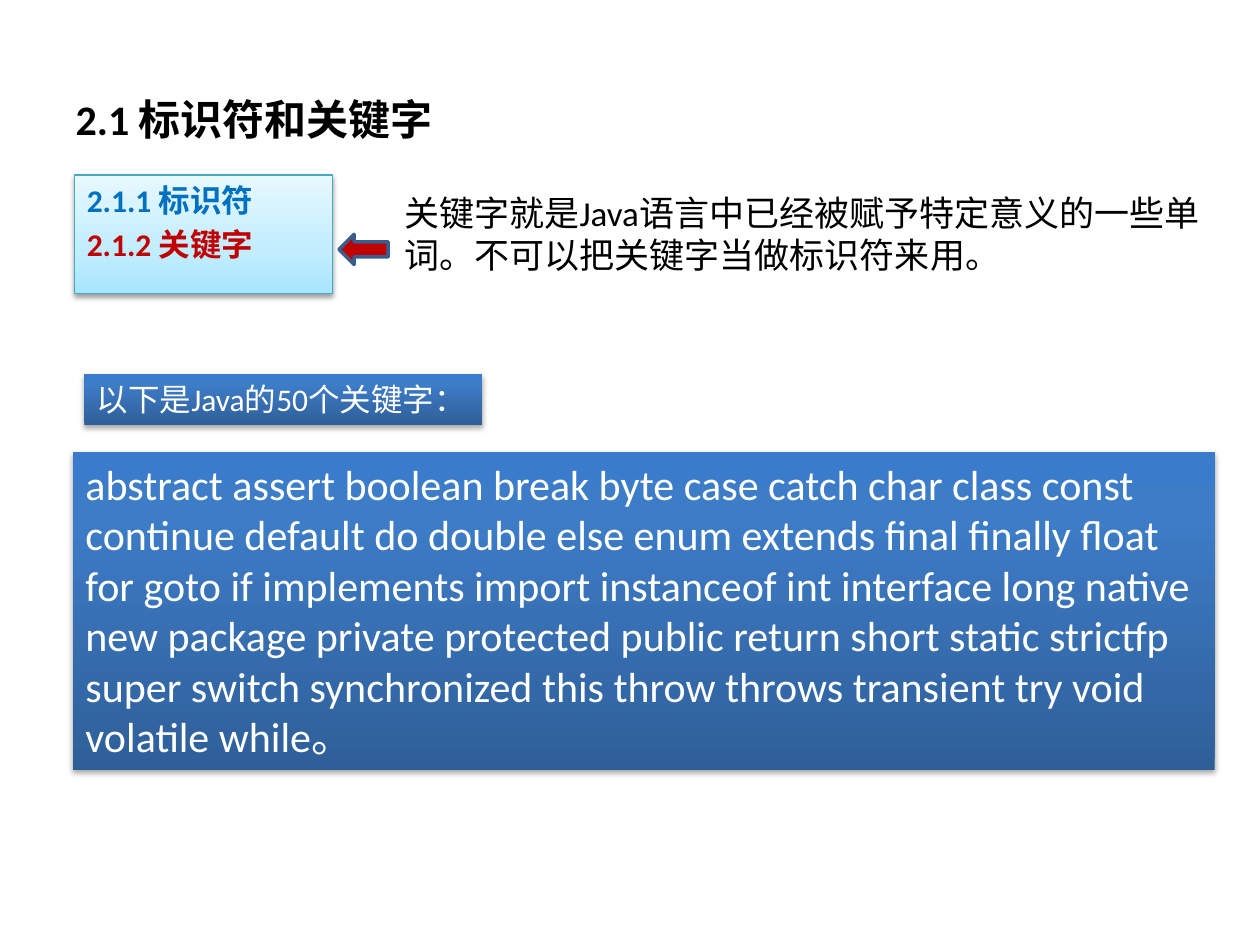
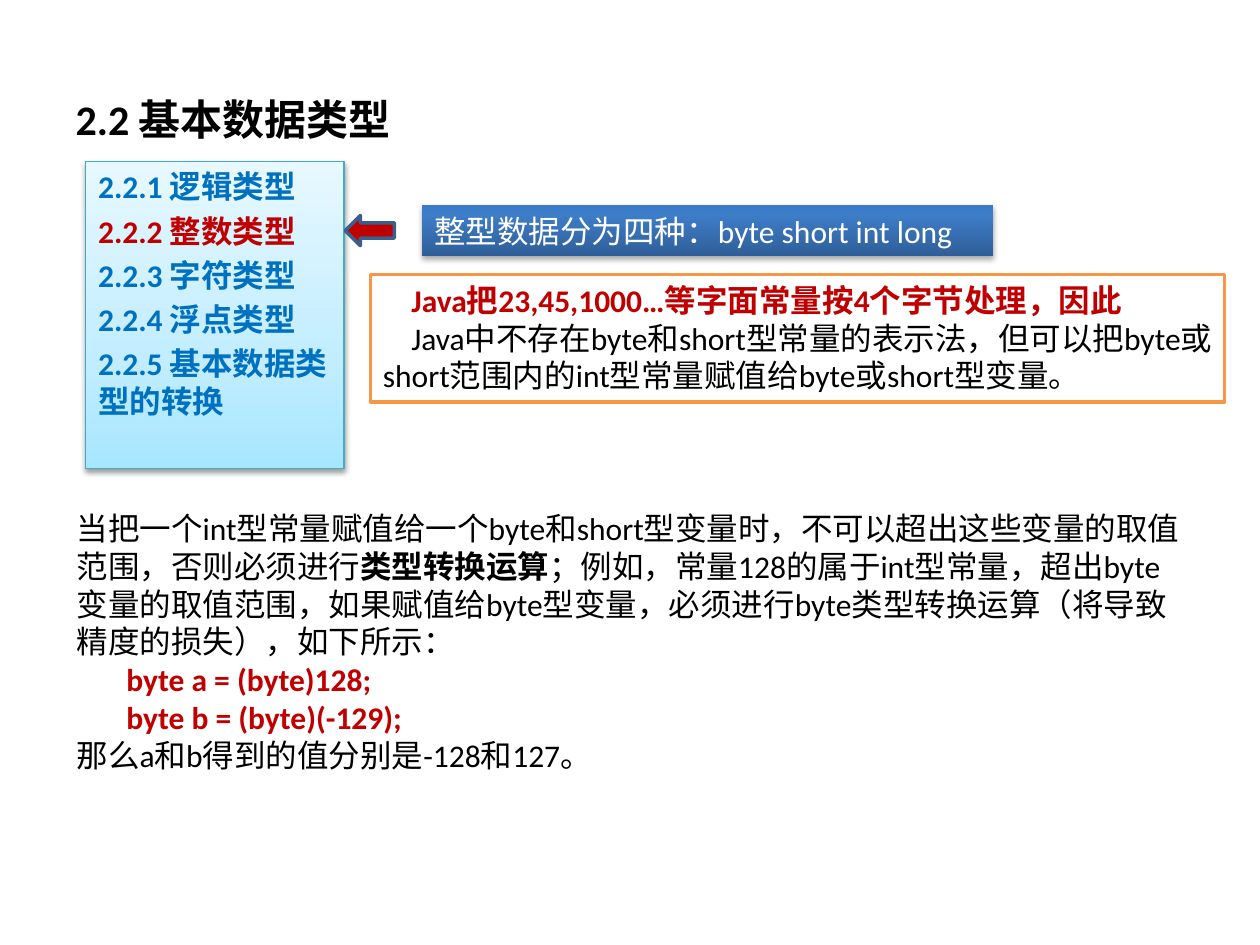
import pptx
import pptx.util
import pptx.dml.color
import pptx.enum.shapes
import pptx.enum.text
import pptx.oxml
import pptx.oxml.ns
from dataclasses import dataclass

RGB = pptx.dml.color.RGBColor.from_string
Pt = pptx.util.Pt
SHAPES = pptx.enum.shapes.MSO_SHAPE
ANCHOR = pptx.enum.text.MSO_ANCHOR
AUTO_SIZE = pptx.enum.text.MSO_AUTO_SIZE
ALIGN = pptx.enum.text.PP_ALIGN


@dataclass(frozen=True)
class Theme:
    font: str = "Calibri"
    ink: str = "000000"
    paper: str = "FFFFFF"
    topic: str = "0070C0"
    accent: str = "C00000"
    arrow_edge: str = "3A5F8C"
    large: int = 24
    medium: int = 20
    normal: int = 18


@dataclass(frozen=True)
class Look:
    stops: tuple
    line: str = None
    line_width: float = 0.75
    shadow: int = 0


THEME = Theme()
MENU = Look(((0, "A7E6FF"), (35, "C1EDFF"), (100, "E7F8FF")), line="46AAC5", shadow=38)
BANNER = Look(((0, "2F5F99"), (80, "3D7CC7"), (100, "3A7CCB")), shadow=35)
NOTE = Look(((0, THEME.paper),), line="F79646", line_width=2)

deck = pptx.Presentation()
deck.slide_width, deck.slide_height = pptx.util.Inches(10), pptx.util.Inches(7.5)
COLUMN, ROW = deck.slide_width / 100, deck.slide_height / 75


def on_grid(left, top, width, height):
    return [int(left * COLUMN), int(top * ROW), int(width * COLUMN), int(height * ROW)]


def add_panel(slide, bounds, paragraphs, size, look=None, wrap=True, grow=True, gap=0, indent=0):
    """Add a text panel; each paragraph is a list of (text, colour, bold) pieces."""
    if look is None:
        panel = slide.shapes.add_textbox(*on_grid(*bounds))
    else:
        panel = slide.shapes.add_shape(SHAPES.RECTANGLE, *on_grid(*bounds))
        panel.shadow.inherit = False
        if len(look.stops) == 1:
            panel.fill.solid()
            panel.fill.fore_color.rgb = RGB(look.stops[0][1])
        else:
            panel.fill.gradient()
            panel.fill.gradient_angle = 90
            stop_list = panel._element.spPr.find(".//" + pptx.oxml.ns.qn("a:gsLst"))
            for stop in list(stop_list):
                stop_list.remove(stop)
            for position, colour in look.stops:
                stop_list.append(pptx.oxml.parse_xml(
                    f'<a:gs {pptx.oxml.ns.nsdecls("a")} pos="{position * 1000}">'
                    f'<a:srgbClr val="{colour}"/></a:gs>'))
        if look.line:
            panel.line.color.rgb = RGB(look.line)
            panel.line.width = Pt(look.line_width)
        else:
            panel.line.fill.background()
        if look.shadow:
            effects = panel._element.spPr.find(pptx.oxml.ns.qn("a:effectLst"))
            effects.append(pptx.oxml.parse_xml(
                f'<a:outerShdw {pptx.oxml.ns.nsdecls("a")} blurRad="40000" dist="22000" '
                f'dir="5400000" rotWithShape="0"><a:srgbClr val="{THEME.ink}">'
                f'<a:alpha val="{look.shadow * 1000}"/></a:srgbClr></a:outerShdw>'))

    frame = panel.text_frame
    frame.word_wrap = wrap
    frame.auto_size = AUTO_SIZE.SHAPE_TO_FIT_TEXT if grow else AUTO_SIZE.NONE
    frame.vertical_anchor = ANCHOR.TOP
    for number, pieces in enumerate(paragraphs):
        paragraph = frame.add_paragraph() if number else frame.paragraphs[0]
        paragraph.alignment = ALIGN.LEFT
        if number and gap:
            paragraph.space_before = Pt(gap)
        if indent:
            paragraph._p.get_or_add_pPr().set("indent", str(Pt(indent)))
        for text, colour, bold in pieces:
            run = paragraph.add_run()
            run.text = text
            run.font.name = THEME.font
            run.font.size = Pt(size)
            run.font.bold = bold
            run.font.color.rgb = RGB(colour)


# Shared frame of each section: title, topic menu, arrow at the current topic
sections = [
    ("2.1 标识符和关键字", ["2.1.1 标识符", "2.1.2 关键字"], 1,
     (5.9, 13.9, 20.5, 9.4), (26.9, 18.6, 3.9, 2.4)),
    ("2.2 基本数据类型",
     ["2.2.1 逻辑类型", "2.2.2 整数类型", "2.2.3 字符类型", "2.2.4 浮点类型",
      "2.2.5 基本数据类型的转换"], 1,
     (6.8, 12.8, 20.5, 24.4), (27.4, 17.1, 3.9, 2.4)),
]
slides = []
for heading, topics, current, menu_bounds, arrow_bounds in sections:
    slide = deck.slides.add_slide(deck.slide_layouts[5])
    slides.append(slide)

    title = slide.shapes.title
    title.left, title.top, title.width, title.height = on_grid(5, 3, 32.4, 12.7)
    title.text_frame.text = heading
    title.text_frame.auto_size = AUTO_SIZE.NONE
    title.text_frame.vertical_anchor = ANCHOR.BOTTOM
    title.text_frame.margin_bottom = int(4.3 * ROW)
    title_line = title.text_frame.paragraphs[0]
    title_line.alignment = ALIGN.LEFT
    title_font = title_line.runs[0].font
    title_font.name, title_font.size, title_font.bold = THEME.font, Pt(THEME.large), True
    title_font.color.rgb = RGB(THEME.ink)

    menu = [[(topic, THEME.accent if number == current else THEME.topic, True)]
            for number, topic in enumerate(topics)]
    add_panel(slide, menu_bounds, menu, THEME.normal, MENU, grow=False, gap=3.6)

    arrow = slide.shapes.add_shape(SHAPES.LEFT_ARROW, *on_grid(*arrow_bounds))
    arrow.shadow.inherit = False
    arrow.fill.solid()
    arrow.fill.fore_color.rgb = RGB(THEME.accent)
    arrow.line.color.rgb = RGB(THEME.arrow_edge)
    arrow.line.width = Pt(2)

keywords_slide, integers_slide = slides

# Keywords
definition = "关键字就是Java语言中已经被赋予特定意义的一些单词。不可以把关键字当做标识符来用。"
add_panel(keywords_slide, (31.1, 14.7, 65.4, 7.7),
          [[(definition, THEME.ink, False)]], THEME.medium)

keywords = (
    "abstract assert boolean break byte case catch char class const continue default do "
    "double else enum extends final finally float for goto if implements import instanceof "
    "int interface long native new package private protected public return short static "
    "strictfp super switch synchronized this throw throws transient try void volatile while。"
)
add_panel(keywords_slide, (5.8, 35.9, 90.6, 25.2),
          [[(keywords, THEME.paper, False)]], THEME.large, BANNER)
add_panel(keywords_slide, (6.7, 29.7, 31.6, 4),
          [[("以下是Java的50个关键字：", THEME.paper, False)]],
          THEME.normal, BANNER, wrap=False)

# Integer types
add_panel(integers_slide, (33.5, 16.3, 45.3, 4),
          [[("整型数据分为四种：byte short int long", THEME.paper, False)]],
          THEME.normal, BANNER, wrap=False)

literal_rules = [
    [("Java把23,45,1000…等字面常量按4个字节处理，因此", THEME.accent, True)],
    [("Java中不存在byte和short型常量的表示法，但可以把byte或short范围内的int型常量"
      "赋值给byte或short型变量。", THEME.ink, False)],
]
add_panel(integers_slide, (29.4, 21.8, 67.8, 10.1), literal_rules,
          THEME.normal, NOTE, indent=16.3)

conversion = [
    [("当把一个int型常量赋值给一个byte和short型变量时，不可以超出这些变量的取值范围，"
      "否则必须进行", THEME.ink, False),
     ("类型转换运算", THEME.ink, True),
     ("；例如，常量128的属于int型常量，超出byte变量的取值范围，如果赋值给byte型变量，"
      "必须进行byte类型转换运算（将导致精度的损失），如下所示：", THEME.ink, False)],
    [("       byte a = (byte)128;", THEME.accent, True)],
    [("       byte b = (byte)(-129);", THEME.accent, True)],
    [("那么a和b得到的值分别是-128和127。", THEME.ink, False)],
]
add_panel(integers_slide, (5.1, 39.9, 89.8, 22.2), conversion, THEME.normal)

deck.save("out.pptx")
